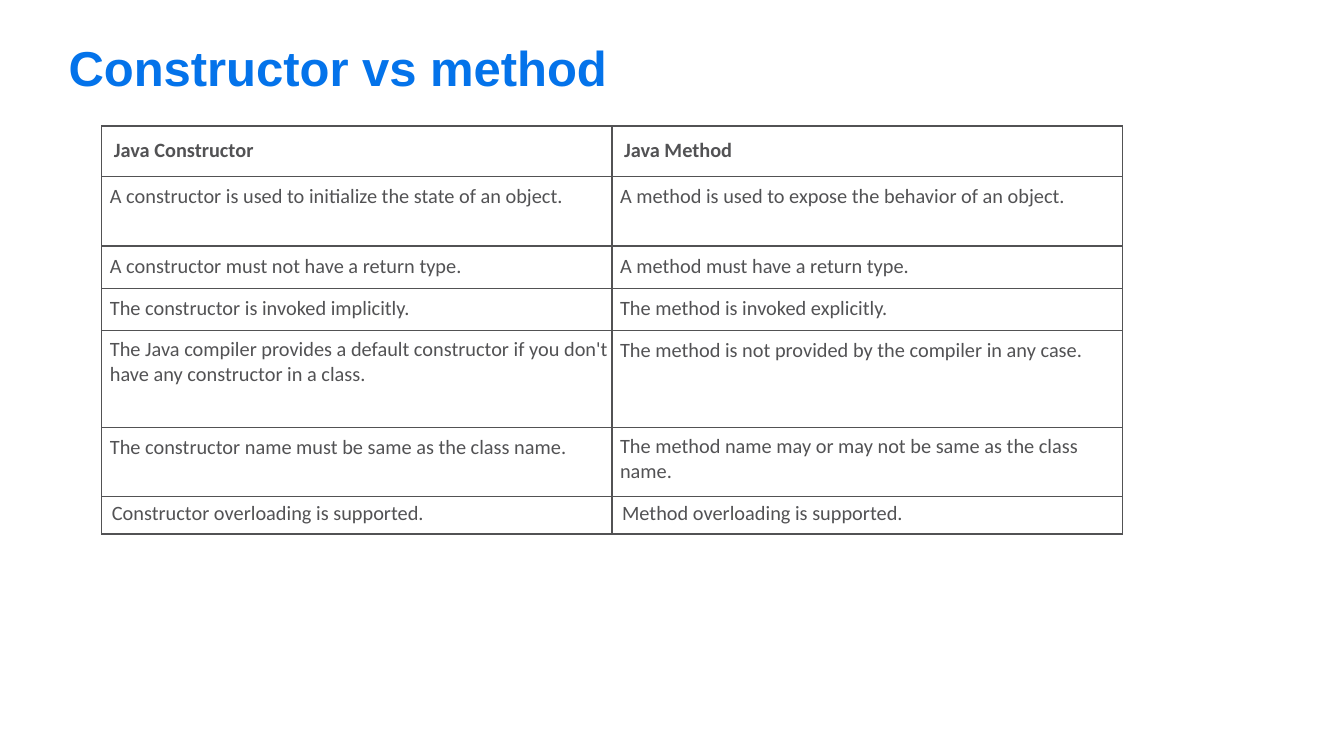
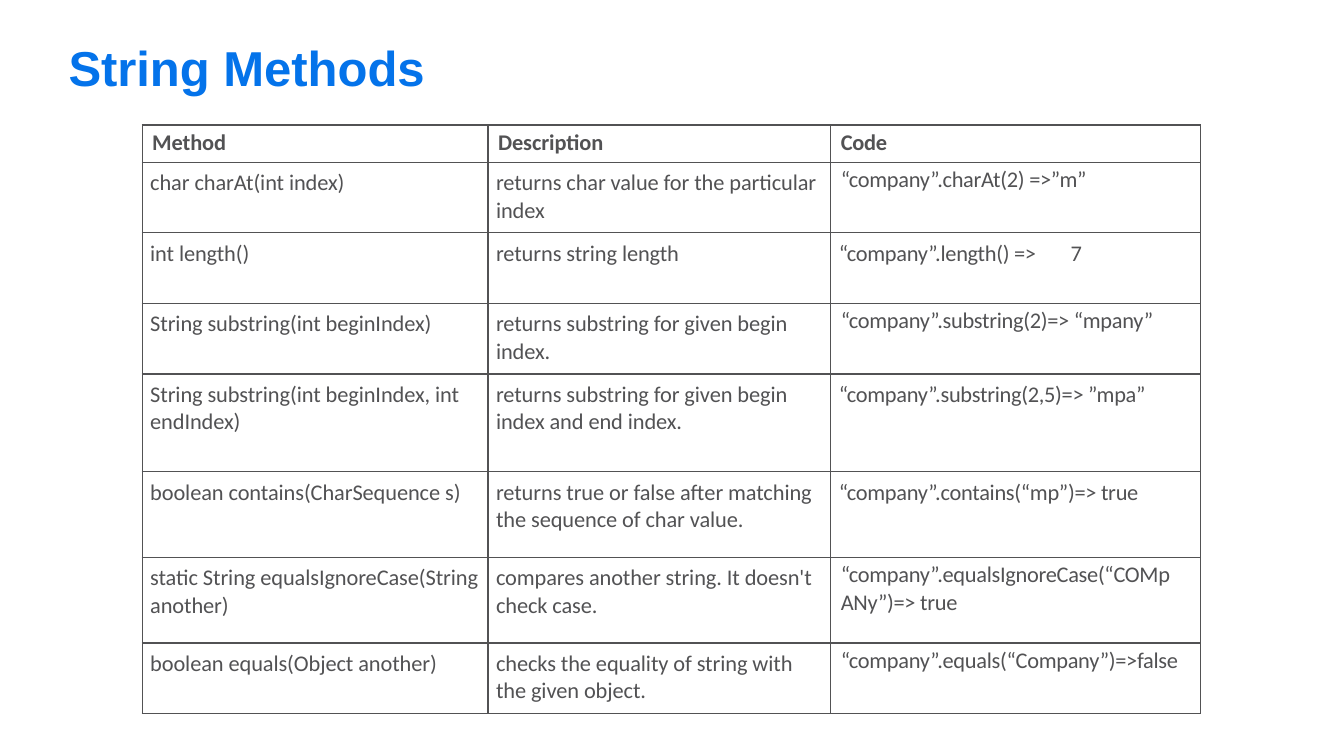
import pptx
import pptx.dml.color
import pptx.enum.text
import pptx.oxml
import pptx.oxml.ns
import pptx.util

PX = 9144  # 100 px to the inch
BLUE, GREY = "0473EA", "525254"
TITLE_BOX = (67, 35, 1040, 61)
BORDER_PT = 1

# Cell paddings: left, top
ROOMY, NORMAL, SNUG, TIGHT = (12, 12), (8, 8), (8, 7), (10, 4)

# Each table row: height, cell texts, cell paddings
COMPARISON = [
    (50, ("Java Constructor", "Java Method"), (ROOMY, ROOMY)),
    (69, ("A constructor is used to initialize the state of an object.",
          "A method is used to expose the behavior of an object."), (NORMAL, NORMAL)),
    (42, ("A constructor must not have a return type.",
          "A method must have a return type."), (NORMAL, NORMAL)),
    (42, ("The constructor is invoked implicitly.",
          "The method is invoked explicitly."), (NORMAL, NORMAL)),
    (96, ("The Java compiler provides a default constructor if you "
          "don't have any constructor in a class.",
          "The method is not provided by the compiler in any case."), (SNUG, NORMAL)),
    (69, ("The constructor name must be same as the class name.",
          "The method name may or may not be same as the class name."), (NORMAL, SNUG)),
    (37, ("Constructor overloading is supported.",
          "Method overloading is supported."), (TIGHT, TIGHT)),
]
STRING_METHODS = [
    (37, ("Method", "Description", "Code"), (TIGHT, TIGHT, TIGHT)),
    (70, ("char charAt(int index)", "returns char value for the particular index",
          "“company”.charAt(2) =>”m”"), (SNUG, SNUG, TIGHT)),
    (70, ("int length()", "returns string length",
          "“company”.length() =>\t7"), (SNUG, SNUG, SNUG)),
    (70, ("String substring(int beginIndex)", "returns substring for given begin index.",
          "“company”.substring(2)=> “mpany”"), (SNUG, SNUG, TIGHT)),
    (97, ("String substring(int beginIndex, int\nendIndex)",
          "returns substring for given begin\nindex and end index.",
          "“company”.substring(2,5)=> ”mpa”"), (SNUG, SNUG, SNUG)),
    (85, ("boolean contains(CharSequence s)",
          "returns true or false after matching the sequence of char value.",
          "“company”.contains(“mp”)=> true"), (SNUG, SNUG, SNUG)),
    (85, ("static String equalsIgnoreCase(String another)",
          "compares another string. It doesn't check case.",
          "“company”.equalsIgnoreCase(“COMp ANy”)=> true"), (SNUG, SNUG, TIGHT)),
    (70, ("boolean equals(Object another)",
          "checks the equality of string with\nthe given object.",
          "“company”.equals(“Company”)=>false"), (SNUG, SNUG, TIGHT)),
]


def px(*lengths):
    return [pptx.util.Emu(length * PX) for length in lengths]


def rgb(color):
    return pptx.dml.color.RGBColor.from_string(color)


def write(frame, text, *, font, size, color, bold=False, spacing=0, tab=None):
    """Fill a text frame; spacing is in hundredths of a point, tab in px."""
    frame.word_wrap = True
    for index, line in enumerate(text.split("\n")):
        paragraph = frame.add_paragraph() if index else frame.paragraphs[0]
        run = paragraph.add_run()
        run.text = line
        run.font.name, run.font.size = font, pptx.util.Pt(size)
        run.font.bold, run.font.color.rgb = bold, rgb(color)
        run._r.get_or_add_rPr().set("spc", str(spacing))
        if tab and "\t" in line:
            paragraph._p.get_or_add_pPr().append(pptx.oxml.parse_xml(
                f'<a:tabLst {pptx.oxml.ns.nsdecls("a")}>'
                f'<a:tab pos="{tab * PX}" algn="l"/></a:tabLst>'))


def add_title(slide, box, text):
    frame = slide.shapes.add_textbox(*px(*box)).text_frame
    frame.margin_left, frame.margin_top, frame.margin_right, frame.margin_bottom = px(1, 1, 0, 0)
    frame.vertical_anchor = pptx.enum.text.MSO_ANCHOR.BOTTOM
    write(frame, text, font="Arial", size=35, color=BLUE, bold=True, spacing=-5)


def add_borders(cell):
    properties = cell._tc.get_or_add_tcPr()
    for index, side in enumerate("LRTB"):
        properties.insert(index, pptx.oxml.parse_xml(
            f'<a:ln{side} {pptx.oxml.ns.nsdecls("a")} w="{pptx.util.Pt(BORDER_PT)}">'
            f'<a:solidFill><a:srgbClr val="{GREY}"/></a:solidFill></a:ln{side}>'))


def add_grid(slide, left, top, widths, rows, size, spacings):
    """Draw a bordered table whose first row is bold."""
    height = sum(row[0] for row in rows)
    table = slide.shapes.add_table(len(rows), len(widths),
                                   *px(left, top, sum(widths), height)).table
    table.first_row = table.horz_banding = False
    for column, width in zip(table.columns, px(*widths)):
        column.width = width
    for row_index, (row_height, texts, paddings) in enumerate(rows):
        table.rows[row_index].height = px(row_height)[0]
        for column_index, (text, padding) in enumerate(zip(texts, paddings)):
            cell = table.cell(row_index, column_index)
            (cell.margin_left, cell.margin_top,
             cell.margin_right, cell.margin_bottom) = px(*padding, 0, 0)
            cell.fill.background()
            add_borders(cell)
            write(cell.text_frame, text, font="Calibri", size=size, color=GREY,
                  bold=row_index == 0, spacing=spacings[column_index], tab=230)


def add_table_slide(deck, title, **grid):
    slide = deck.slides.add_slide(deck.slide_layouts[6])
    add_title(slide, TITLE_BOX, title)
    add_grid(slide, **grid)


def main():
    deck = pptx.Presentation()
    deck.slide_width, deck.slide_height = px(1333, 750)
    add_table_slide(deck, "Constructor vs method", left=101, top=125, widths=(506, 506),
                    rows=COMPARISON, size=14.5, spacings=(0, 0))
    add_table_slide(deck, "String Methods", left=141, top=124, widths=(343, 340, 367),
                    rows=STRING_METHODS, size=16, spacings=(-5, -5, -20))
    deck.save("out.pptx")


if __name__ == "__main__":
    main()
